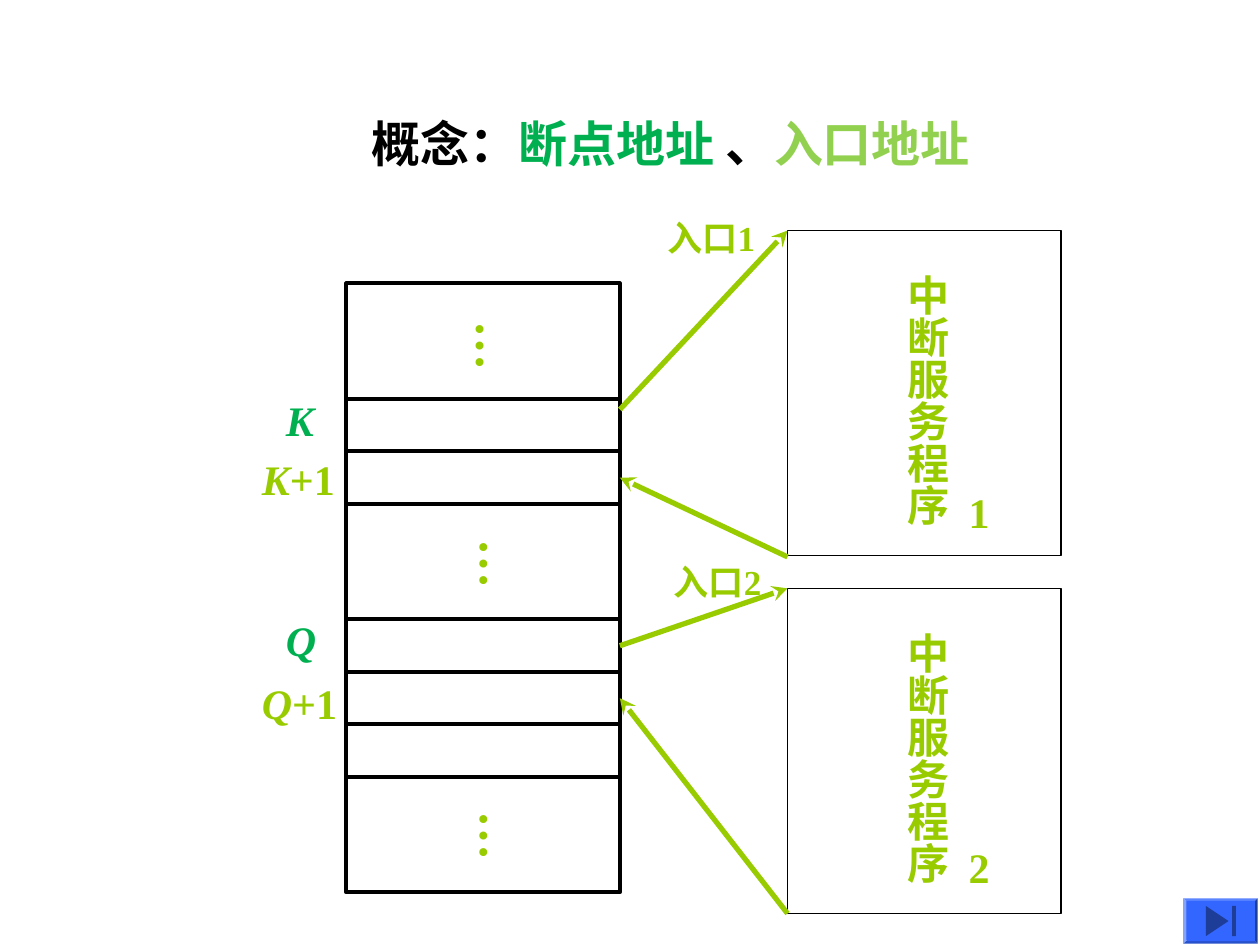
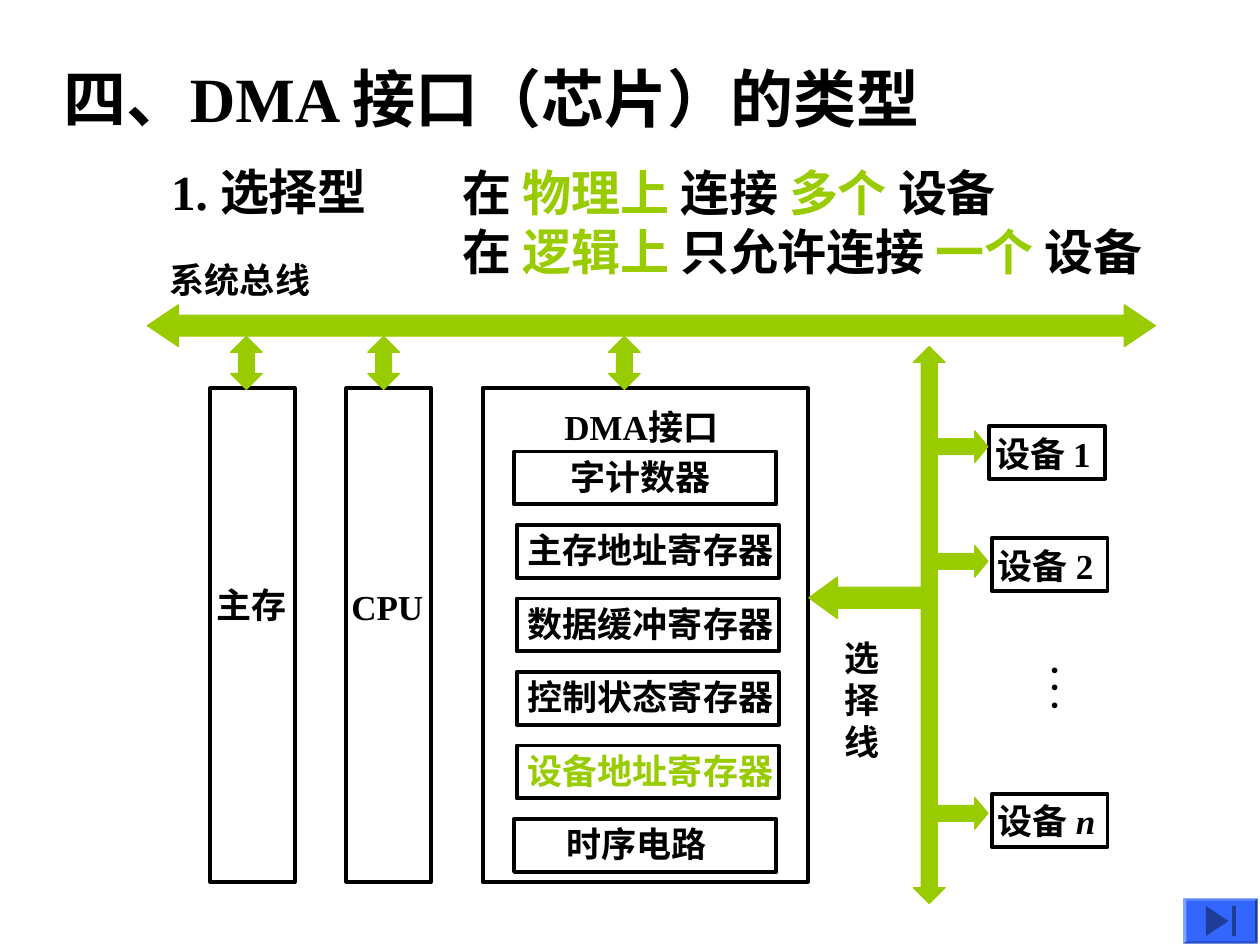
from dataclasses import dataclass

from lxml import etree
from pptx import Presentation
from pptx.dml.color import RGBColor
from pptx.enum.shapes import MSO_CONNECTOR, MSO_SHAPE
from pptx.enum.text import MSO_AUTO_SIZE
from pptx.oxml.ns import qn
from pptx.util import Inches, Pt

RECTANGLE = MSO_SHAPE.RECTANGLE
LEFT_RIGHT = MSO_SHAPE.LEFT_RIGHT_ARROW
UP_DOWN = MSO_SHAPE.UP_DOWN_ARROW
RIGHT_ARROW = MSO_SHAPE.RIGHT_ARROW
LEFT_ARROW = MSO_SHAPE.LEFT_ARROW
BEVEL = MSO_SHAPE.BEVEL
END_BUTTON = MSO_SHAPE.ACTION_BUTTON_END
STRAIGHT = MSO_CONNECTOR.STRAIGHT
GROW = MSO_AUTO_SIZE.SHAPE_TO_FIT_TEXT
RIGHT_SIDE = 3


@dataclass(frozen=True)
class Theme:
    font: str = "Times New Roman"
    ink: RGBColor = RGBColor(0x00, 0x00, 0x00)
    lime: RGBColor = RGBColor(0x99, 0xCC, 0x00)
    green: RGBColor = RGBColor(0x00, 0xB0, 0x50)
    light_green: RGBColor = RGBColor(0x92, 0xD0, 0x50)
    button: RGBColor = RGBColor(0x33, 0x66, 0xFF)
    title: int = 36
    heading: int = 28
    body: int = 24
    label: int = 20
    thin: float = 1
    thick: float = 2.25
    arrow: float = 3


class Deck:
    def __init__(self, theme):
        self.theme = theme
        self.prs = Presentation()
        self.prs.slide_width = Inches(10)
        self.prs.slide_height = Inches(7.5)
        self.slide = None

    def new_slide(self):
        self.slide = self.prs.slides.add_slide(self.prs.slide_layouts[6])
        rim = self.button_part(BEVEL, (9.39, 7.13, 0.59, 0.36))
        rim.adjustments[0] = 0.07
        self.button_part(END_BUTTON, (9.42, 7.15, 0.54, 0.32))

    def button_part(self, kind, at):
        part = self.shape(kind, at)
        part.fill.solid()
        part.fill.fore_color.rgb = self.theme.button
        part.line.fill.background()
        return part

    def shape(self, kind, at):
        shape = self.slide.shapes.add_shape(kind, *map(Inches, at))
        shape.shadow.inherit = False
        return shape

    def frame(self, at, width=None):
        frame = self.shape(RECTANGLE, at)
        frame.fill.background()
        frame.line.color.rgb = self.theme.ink
        frame.line.width = Pt(width or self.theme.thick)
        return frame

    def block_arrow(self, kind, at, head):
        arrow = self.shape(kind, at)
        head_index = 0 if kind == UP_DOWN else 1
        arrow.adjustments[head_index] = head
        arrow.adjustments[1 - head_index] = 0.5
        arrow.fill.solid()
        arrow.fill.fore_color.rgb = self.theme.lime
        arrow.line.color.rgb = self.theme.lime
        arrow.line.width = Pt(0.75)

    def jump(self, start, end, leaves=None, enters=None):
        line = self.slide.shapes.add_connector(STRAIGHT, *map(Inches, start + end))
        if leaves:
            line.begin_connect(leaves, RIGHT_SIDE)
        if enters:
            line.end_connect(enters, RIGHT_SIDE)
        line.line.color.rgb = self.theme.lime
        line.line.width = Pt(self.theme.arrow)
        properties = line.element.spPr
        etree.SubElement(properties.find(qn("a:ln")), qn("a:tailEnd"), type="stealth")
        etree.SubElement(properties, qn("a:effectLst"))

    def text(self, at, paragraphs, size, color=None, wrap=False, vertical=False, italic=None):
        box = self.slide.shapes.add_textbox(*map(Inches, at))
        frame = box.text_frame
        frame.word_wrap = wrap
        frame.auto_size = GROW
        if vertical:
            frame.margin_left = frame.margin_right = Inches(0.05)
            frame.margin_top = Inches(0.05)
            frame.margin_bottom = Inches(0.1)
            box.element.txBody.bodyPr.set("vert", "eaVert")
        elif not wrap:
            frame.margin_right = Inches(0)
        if isinstance(paragraphs, str):
            paragraphs = [paragraphs]
        for index, content in enumerate(paragraphs):
            paragraph = frame.add_paragraph() if index else frame.paragraphs[0]
            font = paragraph.font
            font.name, font.size, font.bold = self.theme.font, Pt(size), True
            if isinstance(content, str):
                paragraph.add_run().text = content
                font.color.rgb = color or self.theme.ink
                font.italic = italic
                continue
            for words, run_color, run_italic in content:
                run = paragraph.add_run()
                run.text = words
                run.font.color.rgb = run_color
                run.font.italic = run_italic


def interrupt_slide(deck):
    t = deck.theme
    deck.new_slide()
    deck.text((2.85, 0.85, 5.12, 0.57), [[
        ("概念：", t.ink, None), ("断点地址 ", t.green, None),
        ("、", t.ink, None), ("入口地址", t.light_green, None),
    ]], t.heading, wrap=True)

    memory = []
    top = 2.25
    for twelfths in (11, 5, 5, 11, 5, 5, 5, 11):
        height = twelfths / 12
        memory.append(deck.frame((2.75, top, 2.17, height)))
        top += height
    for left, top in ((3.56, 2.45), (3.59, 4.18), (3.59, 6.34)):
        deck.text((left, top, 0.66, 0.49), "…", t.heading, t.lime, vertical=True)

    for name, top, next_top in (("K", 3.08, 3.55), ("Q", 4.83, 5.33)):
        deck.text((2.17, top, 0.43, 0.5), name, t.body, t.green, italic=True)
        deck.text((1.98, next_top, 0.79, 0.5),
                  [[(name, t.lime, True), ("+1", t.lime, False)]], t.body)

    for number, top, number_top in (("1", 1.83, 3.81), ("2", 4.67, 6.63)):
        deck.frame((6.25, top, 2.17, 2.58), t.thin)
        deck.text((7.01, top + 0.25, 0.6, 2.1), "中断服务程序", t.body, t.lime, vertical=True)
        deck.text((7.59, number_top, 0.36, 0.5), number, t.body, t.lime)

    deck.text((5.2, 1.67, 0.96, 0.44), "入口1", t.label, t.lime)
    deck.text((5.25, 4.4, 1.17, 0.44), "入口2", t.label, t.lime, wrap=True)
    k_next, q, q_next = memory[2], memory[4], memory[5]
    deck.jump((4.92, 3.25), (6.25, 1.83))
    deck.jump((6.25, 4.42), (4.92, 3.75), enters=k_next)
    deck.jump((4.92, 5.11), (6.25, 4.67), leaves=q)
    deck.jump((6.25, 7.25), (4.92, 5.5), enters=q_next)


def dma_slide(deck):
    t = deck.theme
    deck.new_slide()
    deck.text((0.41, 0.42, 7.26, 0.7), "四、DMA 接口（芯片）的类型", t.title)
    deck.text((1.26, 1.23, 1.84, 0.57), "1. 选择型", t.heading)
    features = (("物理上 ", "连接 ", "多个 "), ("逻辑上 ", "只允许连接 ", "一个 "))
    deck.text((3.57, 1.24, 6.1, 1.04), [[
        ("在 ", t.ink, None), (aspect, t.lime, None), (action, t.ink, None),
        (count, t.lime, None), ("设备", t.ink, None),
    ] for aspect, action, count in features], t.heading, wrap=True)

    deck.text((1.25, 2, 1.31, 0.44), "系统总线", t.label)
    deck.block_arrow(LEFT_RIGHT, (1.17, 2.42, 8, 0.33), 0.745)
    for left, width, link_left in ((1.67, 0.67, 1.83), (2.75, 0.67, 2.92), (3.83, 2.58, 4.83)):
        deck.frame((left, 3.08, width, 3.92))
        deck.block_arrow(UP_DOWN, (link_left, 2.67, 0.25, 0.42), 0.332)
    deck.text((1.62, 4.58, 0.75, 0.44), "主存", t.label)
    deck.text((2.69, 4.6, 0.77, 0.44), "CPU", t.label)
    deck.text((4.38, 3.17, 1.49, 0.44), "DMA接口", t.label)

    registers = (
        ("字计数器", 4.08, 4.43, 1.31, t.ink),
        ("主存地址寄存器", 4.1, 4.09, 2.15, t.ink),
        ("数据缓冲寄存器", 4.1, 4.09, 2.15, t.ink),
        ("控制状态寄存器", 4.1, 4.09, 2.15, t.ink),
        ("设备地址寄存器", 4.1, 4.09, 2.15, t.lime),
        ("时序电路", 4.08, 4.4, 1.31, t.ink),
    )
    for row, (name, left, name_left, name_width, color) in enumerate(registers, 1):
        top = 3 + row * 7 / 12
        deck.frame((left, top, 2.08, 0.42))
        deck.text((name_left, top - 0.02, name_width, 0.44), name, t.label, color)

    deck.block_arrow(UP_DOWN, (7.25, 2.75, 0.25, 4.42), 1.418)
    deck.block_arrow(LEFT_ARROW, (6.42, 4.58, 0.92, 0.33), 0.688)
    deck.text((6.6, 5, 0.48, 1.1), ["选", "择", "线"], t.label)

    devices = (
        ("1", None, 7.85, 3.38, 3.42),
        ("2", None, 7.87, 4.27, 4.33),
        ("n", True, 7.87, 6.3, 6.33),
    )
    for number, italic, left, top, arrow_top in devices:
        deck.frame((left, top, 0.92, 0.42))
        deck.text((left - 0.05, top, 1.04, 0.44),
                  [[("设备 ", t.ink, None), (number, t.ink, italic)]], t.label)
        deck.block_arrow(RIGHT_ARROW, (7.42, arrow_top, 0.42, 0.25), 0.417)
    deck.text((8.15, 5.19, 0.53, 0.45), ". . .", t.label, vertical=True)


def main():
    deck = Deck(Theme())
    interrupt_slide(deck)
    dma_slide(deck)
    deck.prs.save("out.pptx")


if __name__ == "__main__":
    main()
